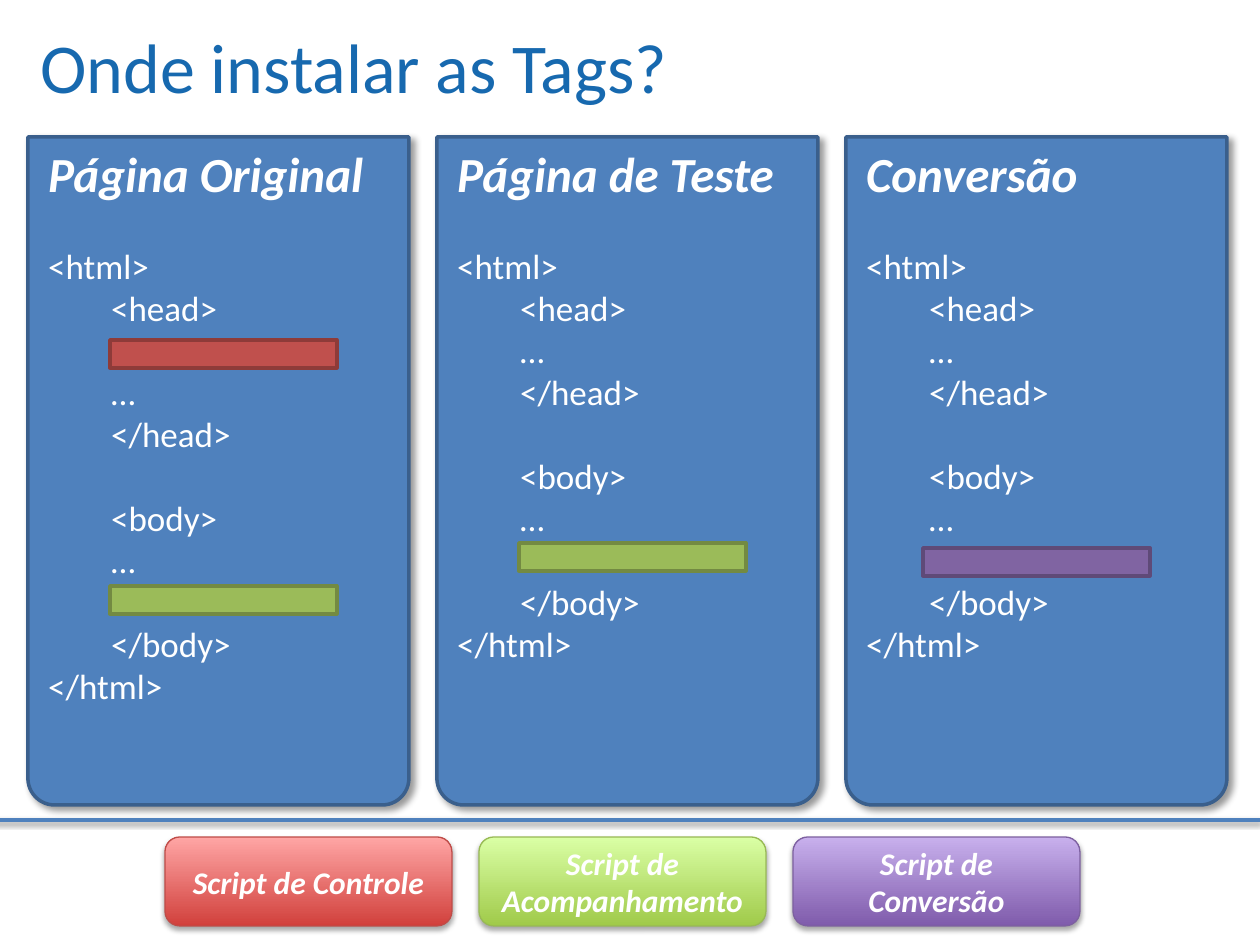
from lxml.etree import SubElement
from pptx import Presentation
from pptx.dml.color import RGBColor
from pptx.enum.shapes import MSO_CONNECTOR, MSO_SHAPE
from pptx.enum.text import MSO_ANCHOR, PP_ALIGN
from pptx.oxml.ns import qn
from pptx.util import Emu, Pt

PX_PER_INCH = 126
LINE_HEIGHT = 24  # points, one line of 20 pt code
COLORS = {
    "title": "1769AF", "white": "FFFFFF", "shadow": "000000",
    "panel": "4F81BD", "panel_line": "3A5F8C",
}
# Each script: bar fill, bar line, button bottom, button top, button line
SCRIPTS = {
    "control": ("C0504D", "8E3B39", "D1403C", "FFA6A5", "BF4C48"),
    "tracking": ("9BBB59", "738A42", "A0CA4A", "DAFFA5", "98B955"),
    "conversion": ("8064A2", "5F4A78", "7F5BAB", "C8B0ED", "7D60A0"),
}
# Heading, whether the head holds a script, bars as (script, left, top) in the panel
PANELS = [
    ("Página Original", True, [("control", 82, 203), ("tracking", 82, 449)]),
    ("Página de Teste", False, [("tracking", 82, 406)]),
    ("Conversão", False, [("conversion", 77, 411)]),
]
BUTTONS = [
    ("Script de Controle", "control"),
    ("Script de Acompanhamento", "tracking"),
    ("Script de Conversão", "conversion"),
]


def px(length):
    return Emu(round(length * 914400 / PX_PER_INCH))


def rgb(color):
    return RGBColor.from_string(color)


def write(paragraph, text, size=20, color=COLORS["white"], bold=False,
          italic=False, align=PP_ALIGN.LEFT, indent=0, before=0):
    properties = paragraph._p.get_or_add_pPr()
    properties.set("marL", str(px(indent)))
    properties.set("indent", "0")
    paragraph.alignment = align
    paragraph.space_before = Pt(before)
    run = paragraph.add_run()
    run.text = text
    font = run.font
    font.name, font.size, font.bold, font.italic = "Calibri", Pt(size), bold, italic
    font.color.rgb = rgb(color)


def add_shadow(shape, opacity, blur, distance, angle):
    """Add an outer shadow; call after fill and line are set."""
    effects = SubElement(shape._element.spPr, qn("a:effectLst"))
    shadow = SubElement(effects, qn("a:outerShdw"), blurRad=str(Pt(blur)),
                        dist=str(Pt(distance)), dir=str(angle * 60000),
                        algn="tl", rotWithShape="0")
    color = SubElement(shadow, qn("a:srgbClr"), val=COLORS["shadow"])
    SubElement(color, qn("a:alpha"), val=str(opacity * 1000))


def add_box(slide, kind, box, line, width, fill=None):
    shape = slide.shapes.add_shape(kind, *map(px, box))
    if fill:
        shape.fill.solid()
        shape.fill.fore_color.rgb = rgb(fill)
    shape.line.color.rgb = rgb(line)
    shape.line.width = Pt(width)
    return shape


def add_title(slide, box):
    title = slide.shapes.title
    title.left, title.top, title.width, title.height = map(px, box)
    title.text_frame.vertical_anchor = MSO_ANCHOR.MIDDLE
    write(title.text_frame.paragraphs[0], "Onde instalar as Tags?",
          size=40, color=COLORS["title"])


def add_panel(slide, box, heading, script_in_head, bars):
    left, top = box[:2]
    panel = add_box(slide, MSO_SHAPE.ROUND_2_SAME_RECTANGLE, box,
                    COLORS["panel_line"], 2, COLORS["panel"])
    panel.adjustments[0], panel.adjustments[1] = 0, 0.07
    add_shadow(panel, 40, 4, 3, 45)

    # Heading and code: text, indent, free lines above
    frame = panel.text_frame
    frame.word_wrap = True
    frame.vertical_anchor = MSO_ANCHOR.TOP
    write(frame.paragraphs[0], heading, size=28, bold=True, italic=True)
    code = [
        ("<html>", 0, 1), ("<head>", 63, 0), ("…", 63, int(script_in_head)),
        ("</head>", 63, 0), ("<body>", 63, 1), ("…", 63, 0),
        ("</body>", 63, 1), ("</html>", 0, 0),
    ]
    for text, indent, free_lines in code:
        write(frame.add_paragraph(), text, indent=indent,
              before=free_lines * LINE_HEIGHT)

    # Script bars
    for script, bar_left, bar_top in bars:
        fill, line = SCRIPTS[script][:2]
        bar = add_box(slide, MSO_SHAPE.RECTANGLE,
                      (left + bar_left, top + bar_top, 227, 28), line, 2, fill)
        bar.shadow.inherit = False


def add_button(slide, box, text, script):
    bottom, top, line = SCRIPTS[script][2:]
    button = add_box(slide, MSO_SHAPE.ROUNDED_RECTANGLE, box, line, 0.75)
    button.fill.gradient()
    button.fill.gradient_angle = 90
    for stop, color in zip(button.fill.gradient_stops, (bottom, top)):
        stop.color.rgb = rgb(color)
    add_shadow(button, 35, 3.1, 1.8, 90)
    button.text_frame.word_wrap = True
    button.text_frame.vertical_anchor = MSO_ANCHOR.MIDDLE
    write(button.text_frame.paragraphs[0], text, size=18, bold=True,
          italic=True, align=PP_ALIGN.CENTER)


def add_divider(slide, left, right, top):
    divider = slide.shapes.add_connector(
        MSO_CONNECTOR.STRAIGHT, px(left), px(top), px(right), px(top))
    divider.line.color.rgb = rgb(COLORS["panel"])
    divider.line.width = Pt(2)
    add_shadow(divider, 38, 3.1, 1.6, 90)


def main():
    presentation = Presentation()
    presentation.slide_width, presentation.slide_height = px(1260), px(945)
    slide = presentation.slides.add_slide(presentation.slide_layouts[5])

    add_title(slide, (28, 24, 1212, 83))
    for column, panel in enumerate(PANELS):
        add_panel(slide, (28 + 409 * column, 137, 381, 668), *panel)
    for column, button in enumerate(BUTTONS):
        add_button(slide, (165 + 314 * column, 837, 287, 89), *button)
    add_divider(slide, -21, 1260, 820)

    presentation.save("out.pptx")


if __name__ == "__main__":
    main()
